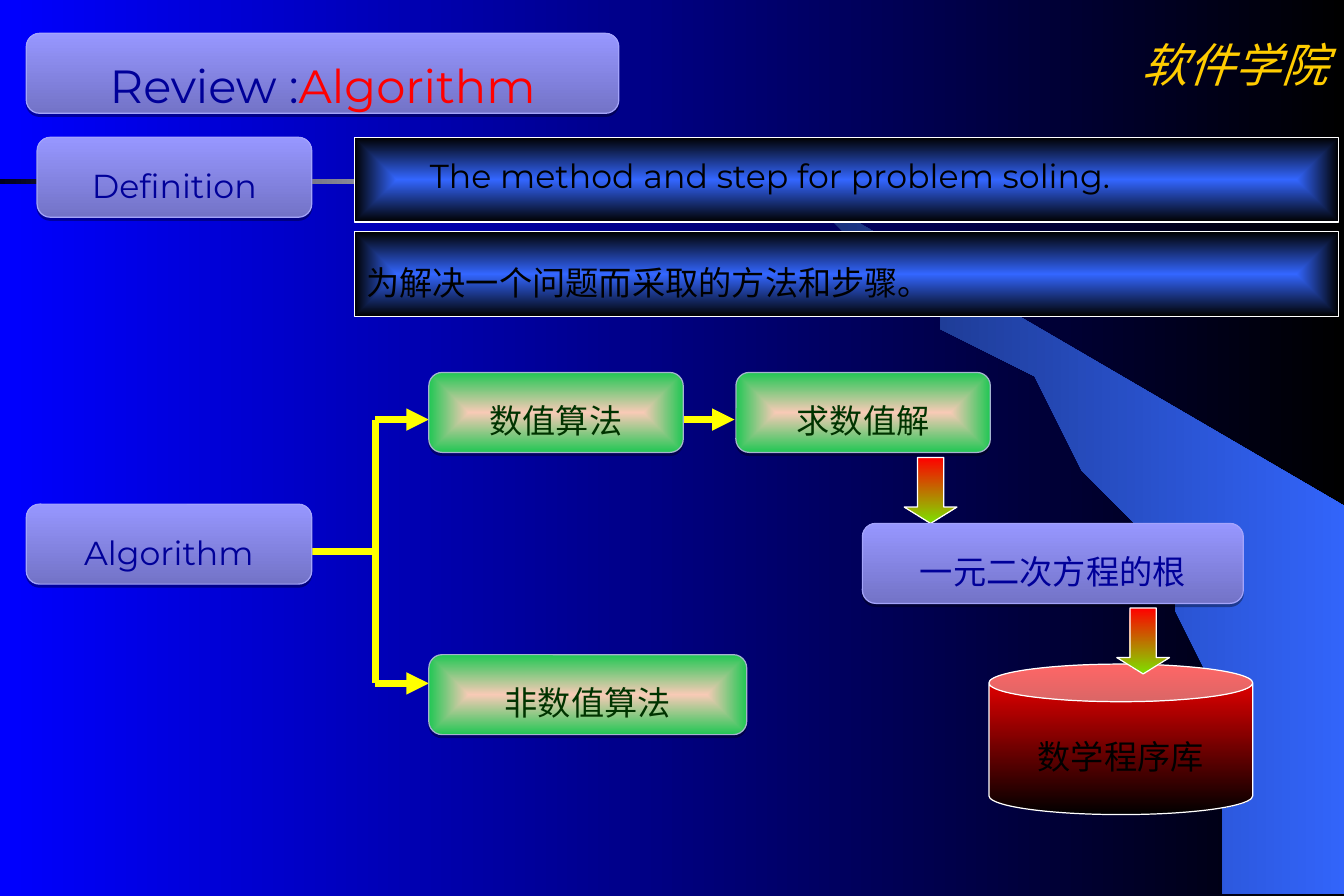
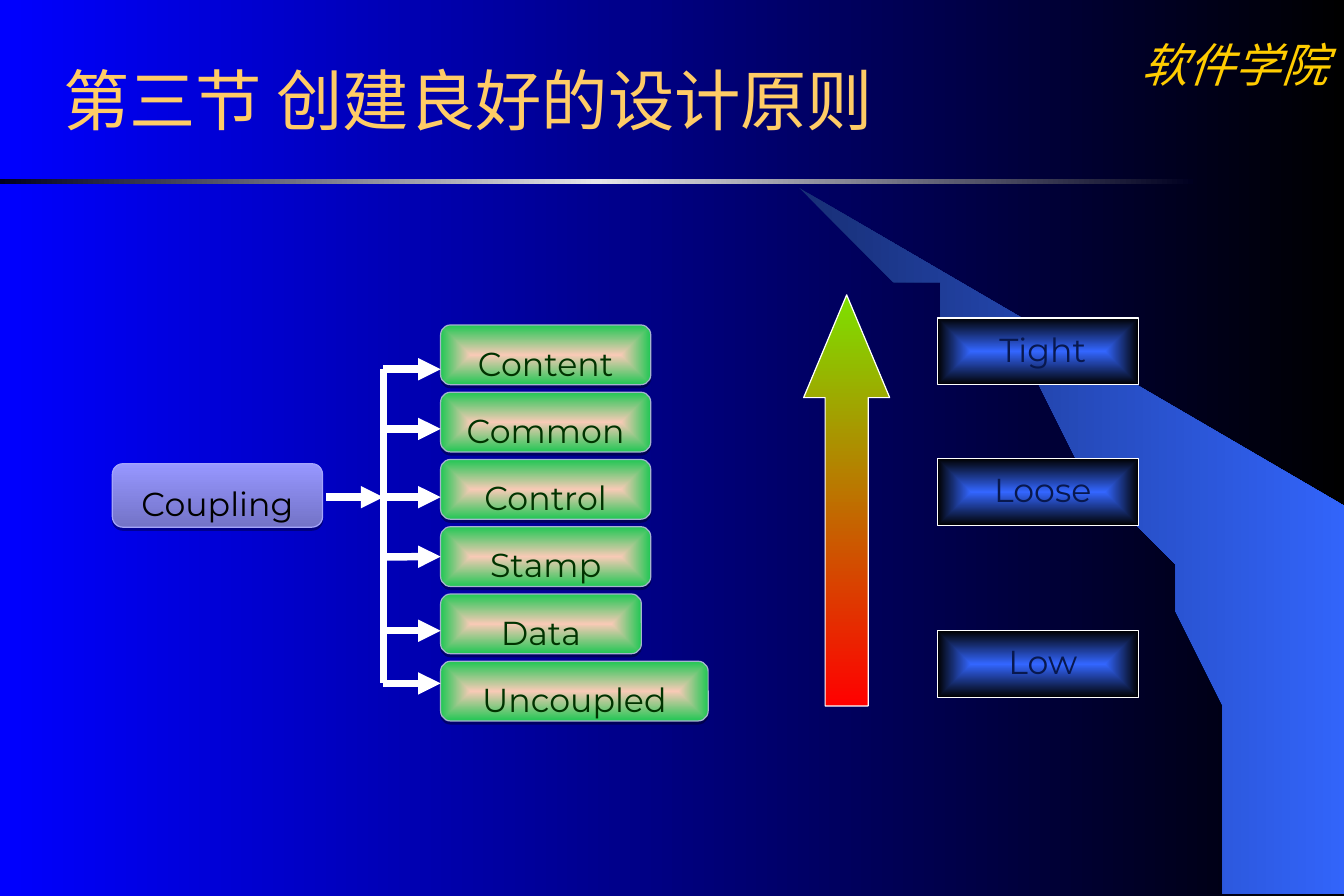
import pptx
import pptx.dml.color
import pptx.enum.shapes
import pptx.enum.text
import pptx.oxml
import pptx.oxml.ns
import pptx.util

Cm = pptx.util.Cm
Pt = pptx.util.Pt
SHAPE = pptx.enum.shapes.MSO_SHAPE
ALIGN = pptx.enum.text.PP_ALIGN
ANCHOR = pptx.enum.text.MSO_ANCHOR
qn = pptx.oxml.ns.qn
NAMESPACE = pptx.oxml.ns.nsdecls("a")

FONT = "Montserrat"
SERIF = "Times New Roman"
BLACK, WHITE, YELLOW, RED = "000000", "FFFFFF", "FFFF00", "FF0000"
NAVY, FOREST, MIDNIGHT, LIME = "000099", "003300", "08184E", "7DE100"
LILAC_FILL, LILAC_LINE = ("7373C7", "9797FF"), "A4A4FB"
GREEN_FILL, GREEN_LINE = ("F8CAB6", "21C754"), "A5B5CF"
GLOW_FILL = ("3366FF", BLACK)

ARC = [
    (26.29, 19), (28.52, 19.02), (28.52, 10.74), (16.84, 4.39), (17.83, 5.05),
    (18.64, 5.64), (19.58, 6.35), (20.47, 7.11), (21.77, 8.38), (22.94, 9.75),
    (23.77, 10.95), (24.51, 12.17), (25.1, 13.41), (25.53, 14.53),
    (25.81, 15.47), (26.09, 16.66), (26.21, 17.68),
]


def rgb(value):
    return pptx.dml.color.RGBColor.from_string(value)


def element_from(xml):
    return pptx.oxml.parse_xml(xml.replace(" ", f" {NAMESPACE} ", 1))


def paint(owner, fill, colours, angle=0):
    """Spread the colours evenly along the angle, or from the centre when it is None."""
    fill.gradient()
    gradient = next(owner.element.iter(qn("a:gradFill")))
    for child in list(gradient):
        gradient.remove(child)
    step = 100000 // (len(colours) - 1)
    stops = "".join(
        f'<a:gs pos="{index * step}"><a:srgbClr val="{colour}"/></a:gs>'
        for index, colour in enumerate(colours)
    )
    gradient.append(element_from(f"<a:gsLst >{stops}</a:gsLst>"))
    if angle is None:
        direction = (
            '<a:path path="rect"><a:fillToRect l="50000" t="50000" '
            'r="50000" b="50000"/></a:path>'
        )
    else:
        direction = f'<a:lin ang="{angle * 60000}" scaled="0"/>'
    gradient.append(element_from(direction))


def write(shape, text, size=20, colour=BLACK, font=FONT, italic=False,
          align=ALIGN.CENTER, anchor=ANCHOR.MIDDLE, spacing=1.4,
          insets=(0, 0, 0, 0)):
    """Add a run to the shape's paragraph; insets are left, top, right, bottom in cm."""
    frame = shape.text_frame
    frame.word_wrap = True
    frame.auto_size = pptx.enum.text.MSO_AUTO_SIZE.NONE
    frame.vertical_anchor = anchor
    (frame.margin_left, frame.margin_top,
     frame.margin_right, frame.margin_bottom) = map(Cm, insets)
    paragraph = frame.paragraphs[0]
    paragraph.alignment = align
    paragraph.line_spacing = spacing
    paragraph.space_before = Pt(0)
    run = paragraph.add_run()
    run.text = text
    run.font.size = Pt(size)
    run.font.name = font
    run.font.italic = italic
    run.font.color.rgb = rgb(colour)


class Deck:
    """Holds the shared layout and the slide being filled."""

    margins = (0.25, 0.13, 0.25, 0.13)

    def __init__(self):
        self.presentation = pptx.Presentation()
        self.presentation.slide_width = Cm(28.58)
        self.presentation.slide_height = Cm(19.05)
        self.layout = self.presentation.slide_layouts[5]
        paint(self.layout, self.layout.background.fill, ("0000FF", BLACK))
        self.slide = None

    def new_slide(self):
        self.slide = self.presentation.slides.add_slide(self.layout)

    def share(self, shape):
        """Move a finished shape to the layout, so that every slide shows it."""
        self.layout.shapes.element.append(shape.element)

    def textbox(self, left, top, width, height):
        return self.slide.shapes.add_textbox(Cm(left), Cm(top), Cm(width), Cm(height))

    def finish(self, shape, colours, angle, line):
        shape.shadow.inherit = False
        paint(shape, shape.fill, colours, angle)
        if line:
            shape.line.color.rgb = rgb(line)
            shape.line.width = Pt(0.75)
        else:
            shape.line.fill.background()
        return shape

    def shape(self, kind, box, colours, angle=0, line=WHITE, adjustments=()):
        shape = self.slide.shapes.add_shape(kind, *map(Cm, box))
        for index, value in enumerate(adjustments):
            shape.adjustments[index] = value
        return self.finish(shape, colours, angle, line)

    def curve(self, points, colours):
        builder = self.slide.shapes.build_freeform(*points[0], scale=Cm(1))
        builder.add_line_segments(points[1:], close=True)
        return self.finish(builder.convert_to_shape(), colours, 0, None)

    def pill(self, box, colours, angle, line):
        shape = self.shape(SHAPE.ROUNDED_RECTANGLE, box, colours, angle, line, [0.167])
        effects = shape.element.spPr.find(qn("a:effectLst"))
        effects.append(element_from(
            '<a:outerShdw blurRad="0" dist="22860" dir="5400000" rotWithShape="0">'
            '<a:srgbClr val="000000"><a:alpha val="35000"/></a:srgbClr></a:outerShdw>'
        ))
        return shape

    def lilac_pill(self, box, text="", colour=NAVY):
        shape = self.pill(box, LILAC_FILL, 270, LILAC_LINE)
        if text:
            write(shape, text, colour=colour)
        return shape

    def green_pill(self, box, text):
        shape = self.pill(box, GREEN_FILL, None, GREEN_LINE)
        write(shape, text, colour=FOREST)
        return shape

    def glow_box(self, box, text, **style):
        write(self.shape(SHAPE.RECTANGLE, box, GLOW_FILL, None), text, **style)

    def down_arrow(self, left, top):
        self.shape(SHAPE.DOWN_ARROW, (left, top, 1.12, 1.4), (RED, LIME), 90,
                   adjustments=(0.5, 0.31))

    def line(self, start, end, colour, arrow=False):
        connector = self.slide.shapes.add_connector(
            pptx.enum.shapes.MSO_CONNECTOR.STRAIGHT, *map(Cm, start + end))
        connector.line.color.rgb = rgb(colour)
        connector.line.width = Pt(4.5)
        if arrow:
            connector.line._get_or_add_ln().append(
                element_from('<a:tailEnd type="triangle"/>'))
        connector.element.spPr.append(element_from("<a:effectLst />"))
        return connector

    def title(self, left, top, width, height):
        """Place the title in front of what has been drawn so far."""
        title = self.slide.shapes.title
        title.left, title.top = Cm(left), Cm(top)
        title.width, title.height = Cm(width), Cm(height)
        self.slide.shapes.element.append(title.element)
        return title


def add_shared_parts(deck):
    school = deck.textbox(23.93, 0.64, 4.65, 1.45)
    write(school, "软件学院", size=28, colour="FFCC00", font=SERIF, italic=True,
          anchor=ANCHOR.TOP, spacing=1.0, insets=deck.margins)
    arc = deck.curve(ARC, ("182F76", "3366FF"))
    rule = deck.shape(SHAPE.RECTANGLE, (0, 3.81, 25.37, 0.1),
                      ("000020", "E5E5E8", "000020"), line=None)
    for part in (school, arc, rule):
        deck.share(part)


def add_algorithm_slide(deck):
    title_box = (0.56, 0.71, 12.6, 1.7)
    deck.lilac_pill(title_box)
    title = deck.title(*title_box)
    write(title, "Review :", size=28, colour=NAVY)
    write(title, "Algorithm", size=28, colour=RED)

    deck.lilac_pill((0.79, 2.92, 5.84, 1.7), "Definition")
    deck.glow_box((7.54, 2.92, 20.93, 1.8), "The method and step for problem soling.",
                  align=ALIGN.LEFT, spacing=0.75, insets=(1.6, 0, 0.25, 0))
    deck.glow_box((7.54, 4.93, 20.93, 1.8), "为解决一个问题而采取的方法和步骤。",
                  font="Arial", align=ALIGN.LEFT, insets=deck.margins)

    trunk, upper, middle, lower = 7.98, 8.92, 11.73, 14.53
    deck.line((6.63, middle), (trunk, middle), YELLOW)
    deck.line((trunk, upper), (trunk, lower), YELLOW)
    for y in (upper, lower):
        deck.line((trunk, y), (9.12, y), YELLOW, arrow=True)
    deck.line((14.5, upper), (15.62, upper), YELLOW, arrow=True)

    deck.lilac_pill((0.56, 10.72, 6.07, 1.7), "Algorithm")
    deck.green_pill((9.12, 7.92, 5.41, 1.7), "数值算法")
    deck.green_pill((9.12, 13.92, 6.76, 1.7), "非数值算法")
    deck.green_pill((15.65, 7.92, 5.41, 1.7), "求数值解")
    deck.down_arrow(19.23, 9.73)
    deck.lilac_pill((18.34, 11.13, 8.1, 1.7), "一元二次方程的根")
    library = deck.shape(SHAPE.CAN, (21.03, 14.12, 5.61, 3.2), (RED, BLACK), 90,
                         adjustments=[0.25])
    write(library, "数学程序库", font=SERIF, insets=deck.margins)
    deck.down_arrow(23.75, 12.93)


def add_coupling_slide(deck):
    write(deck.title(1.09, 1.12, 19.56, 1.65), "第三节 创建良好的设计原则", size=40,
          colour="FFCC66", align=ALIGN.LEFT, anchor=ANCHOR.TOP, spacing=1.0,
          insets=deck.margins)

    deck.lilac_pill((2.39, 9.86, 4.47, 1.35), "Coupling", BLACK)
    trunk, item_left, item_height = 8.15, 9.37, 1.27
    levels = [
        ("Content", 4.47, 7.85), ("Common", 4.47, 9.12), ("Control", 4.47, 10.57),
        ("Stamp", 4.47, 11.84), ("Data", 4.27, 13.41), ("Uncoupled", 5.69, 14.53),
    ]
    deck.line((trunk, levels[0][2]), (trunk, levels[-1][2]), WHITE)
    deck.line((6.93, 10.57), (trunk, 10.57), WHITE, arrow=True)
    for index, (name, width, arrow_y) in enumerate(levels):
        top = 6.91 + 1.43 * index
        item = deck.green_pill((item_left, top, width, item_height), name)
        branch = deck.line((trunk, arrow_y), (item_left, arrow_y), WHITE, arrow=True)
        if abs(top + item_height / 2 - arrow_y) < 0.03:
            branch.end_connect(item, 1)

    deck.shape(SHAPE.UP_ARROW, (17.09, 6.27, 1.83, 8.74), (LIME, RED), 90,
               adjustments=(0.5, 1.194))
    for name, top in (("Tight", 6.76), ("Loose", 9.75), ("Low", 13.41)):
        deck.glow_box((19.94, top, 4.27, 1.42), name, colour=MIDNIGHT,
                      spacing=0.75, insets=(0.2, 0.08, 0, 0))


def main():
    deck = Deck()
    deck.new_slide()
    add_shared_parts(deck)
    add_algorithm_slide(deck)
    deck.new_slide()
    add_coupling_slide(deck)
    deck.presentation.save("out.pptx")


if __name__ == "__main__":
    main()
